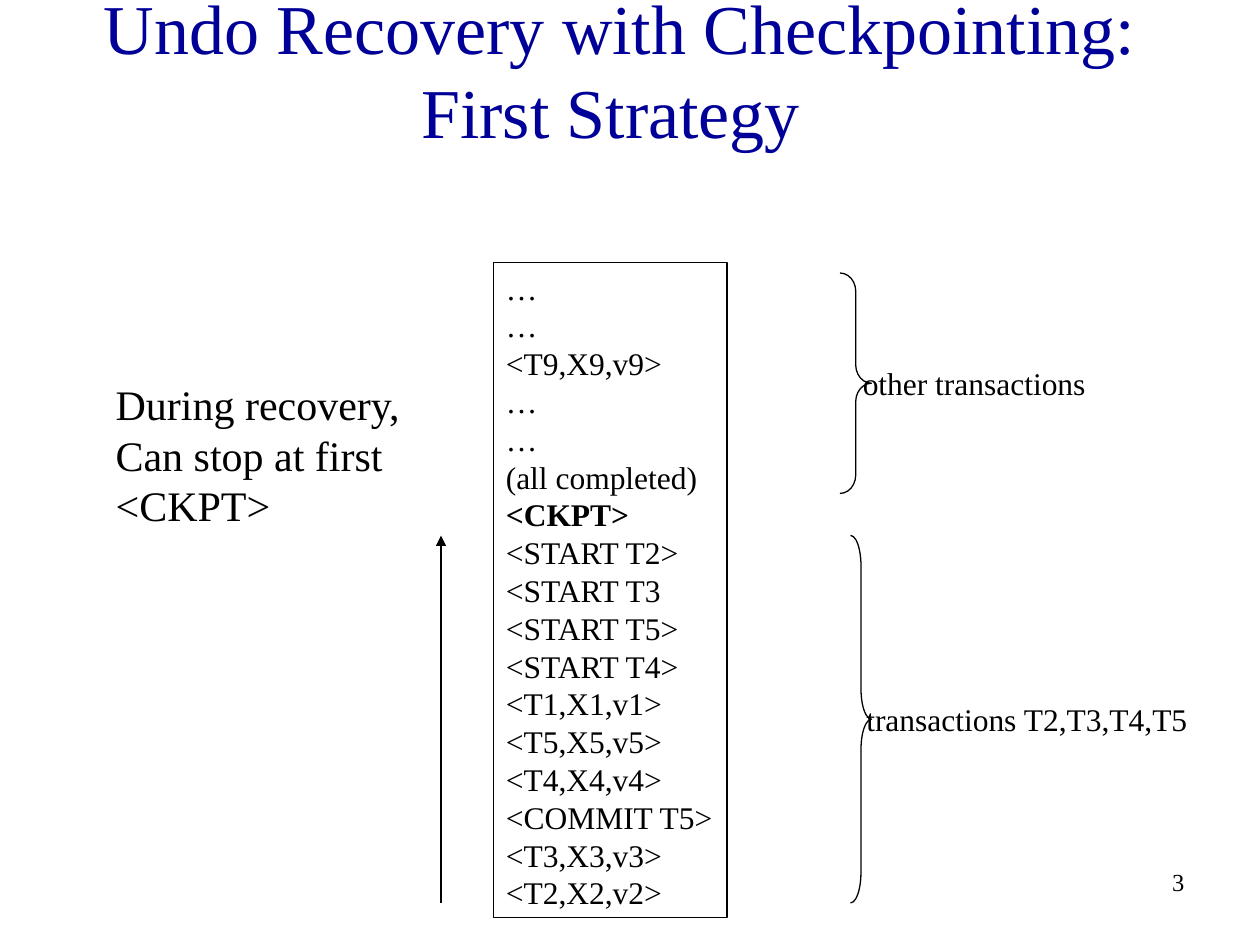
from pptx import Presentation
from pptx.dml.color import RGBColor
from pptx.enum.shapes import MSO_CONNECTOR as Conn, MSO_SHAPE as Shape
from pptx.enum.text import MSO_ANCHOR as Anchor, MSO_AUTO_SIZE as Fit, PP_ALIGN as Align
from pptx.oxml.ns import qn
from pptx.util import Pt
from lxml import etree

FONT = "Times New Roman"
BLACK, NAVY = "000000", "000099"
LOG = ["…", "…", "<T9,X9,v9>", "…", "…", "(all completed)", "<CKPT>",
       "<START T2>", "<START T3", "<START T5>", "<START T4>",
       "<T1,X1,v1>", "<T5,X5,v5>", "<T4,X4,v4>", "<COMMIT T5>",
       "<T3,X3,v3>", "<T2,X2,v2>"]
NOTE = ["During recovery,", "Can stop at first", "<CKPT>"]


def color(code):
    return RGBColor.from_string(code)


def write(shape, lines, size, code=BLACK, align=Align.LEFT,
          anchor=Anchor.TOP, wrap=False, bold=()):
    frame = shape.text_frame
    frame.text = "\n".join(lines)
    frame.word_wrap = wrap
    frame.auto_size = Fit.NONE
    frame.vertical_anchor = anchor
    for para in frame.paragraphs:
        para.alignment = align
        para.line_spacing = Pt(size * 1.2)
        for run in para.runs:
            font = run.font
            font.name, font.size = FONT, Pt(size)
            font.bold = run.text in bold
            font.color.rgb = color(code)


def outline(shape):
    shape.line.color.rgb = color(BLACK)
    shape.line.width = Pt(0.75)


def add_outlined(slide, kind, box):
    shape = slide.shapes.add_shape(kind, *map(Pt, box))
    shape.shadow.inherit = False
    shape.fill.background()
    outline(shape)
    return shape


def add_text(slide, box, lines, size, **style):
    shape = slide.shapes.add_textbox(*map(Pt, box))
    write(shape, lines, size, **style)
    return shape


def set_title(slide, box, text):
    title = slide.shapes.title
    title.left, title.top, title.width, title.height = map(Pt, box)
    write(title, [text], 40, NAVY, Align.CENTER, Anchor.MIDDLE, wrap=True)


def add_log(slide, box):
    panel = add_outlined(slide, Shape.RECTANGLE, box)
    write(panel, LOG, 18, bold=("<CKPT>",))


def add_arrow(slide, x, start, end):
    arrow = slide.shapes.add_connector(
        Conn.STRAIGHT, Pt(x), Pt(start), Pt(x), Pt(end))
    outline(arrow)
    props = arrow._element.spPr
    etree.SubElement(props.find(qn("a:ln")), qn("a:tailEnd"), type="triangle")
    etree.SubElement(props, qn("a:effectLst"))


def add_brace(slide, box, label, indent):
    left, top, width, height = box
    brace = add_outlined(slide, Shape.RIGHT_BRACE, box)
    # Each curl takes a twelfth of the height
    brace.adjustments[0] = height / 12 / width
    brace.adjustments[1] = 0.5
    text = add_text(slide, (left + indent, top + height / 2 - 15, 190, 30),
                    [label], 18, anchor=Anchor.MIDDLE)
    text.text_frame.margin_left = 0


def main():
    deck = Presentation()
    deck.slide_width, deck.slide_height = Pt(720), Pt(540)
    slide = deck.slides.add_slide(deck.slide_layouts[5])

    # Page number and title
    add_text(slide, (534, 492, 150, 36), ["3"], 14,
             align=Align.RIGHT, wrap=True)
    set_title(slide, (12, 12, 684, 54),
              "Undo Recovery with Checkpointing: First Strategy ")

    # Log, with the recovery note and scan direction on its left
    add_log(slide, (282, 150, 133.5, 374.4))
    add_text(slide, (59, 213, 178, 93.6), NOTE, 24)
    add_arrow(slide, 252, 516, 306)

    # Braces for the two groups of transactions
    add_brace(slide, (486, 306, 12, 210), "transactions T2,T3,T4,T5", 9)
    add_brace(slide, (480, 156, 18, 126), "other transactions", 13)

    deck.save("out.pptx")


if __name__ == "__main__":
    main()
